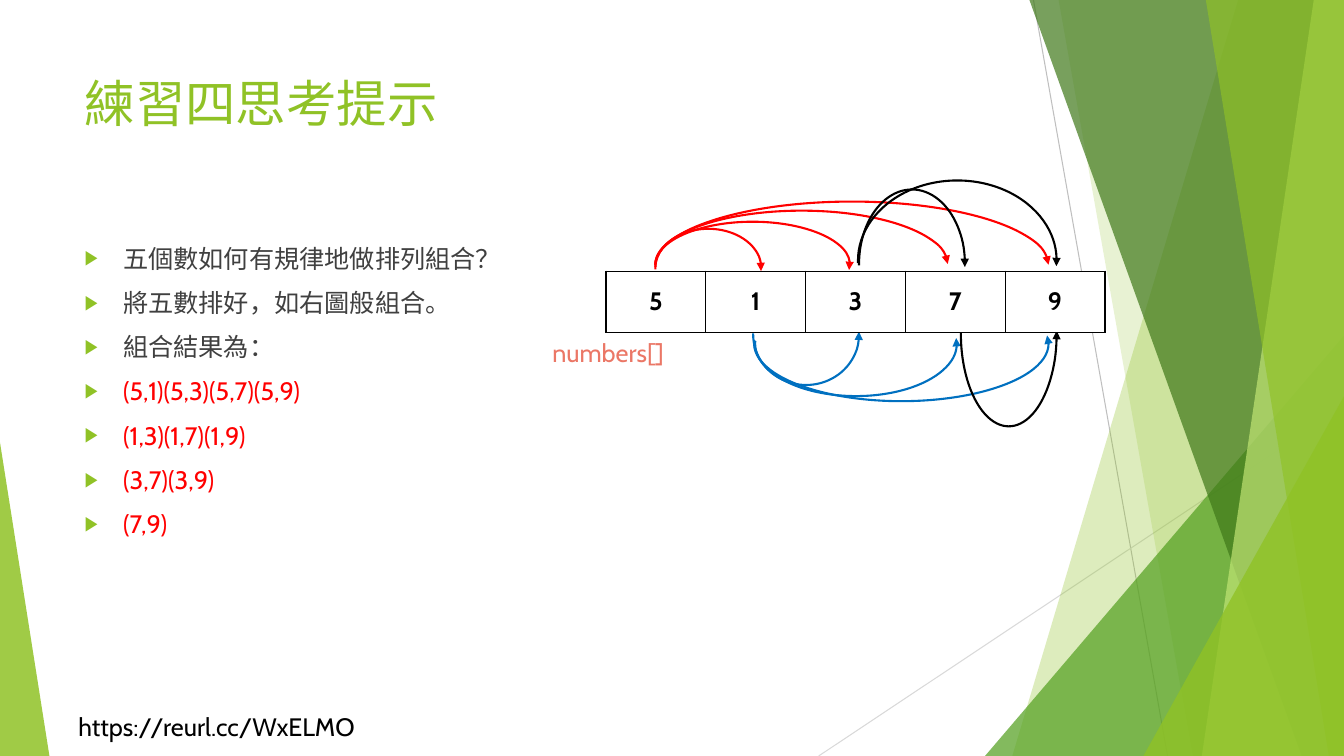
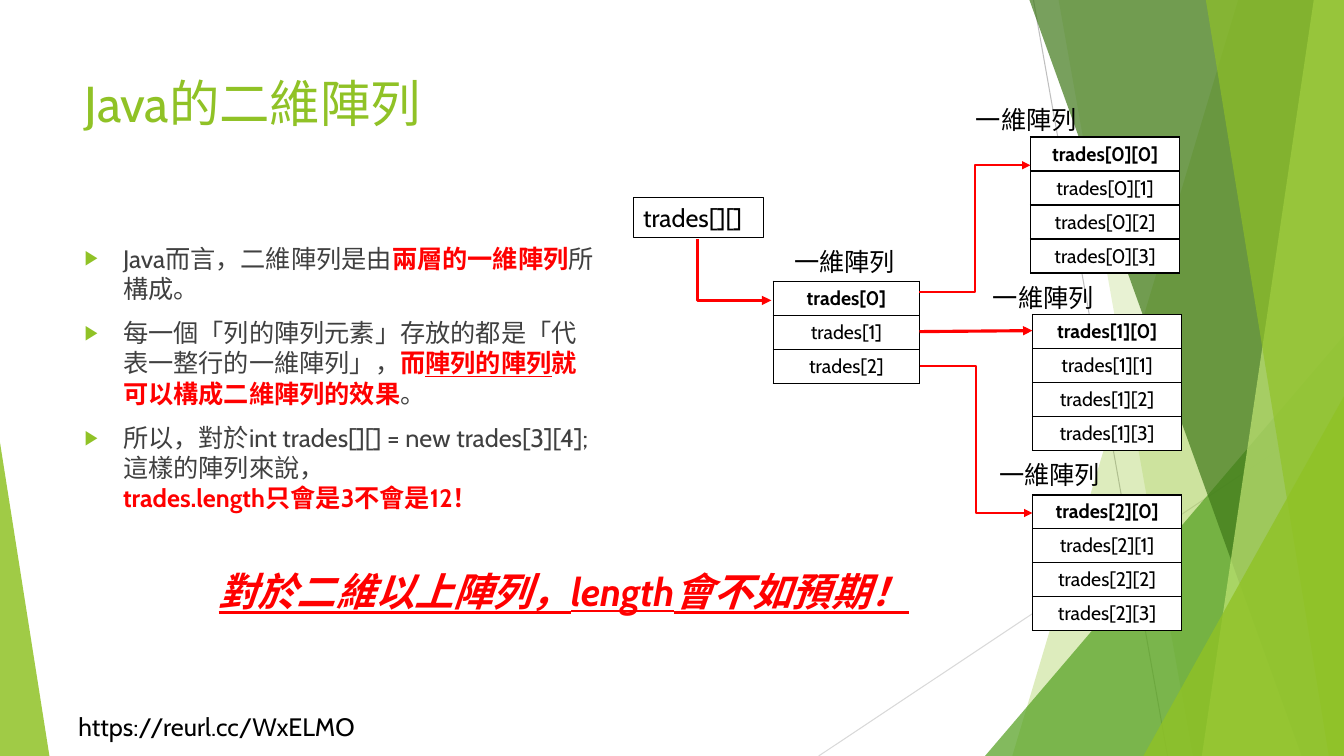
from lxml.etree import SubElement
from pptx import Presentation
from pptx.dml.color import RGBColor
from pptx.enum.shapes import MSO_CONNECTOR as CONNECTOR, MSO_SHAPE as SHAPE
from pptx.enum.text import MSO_ANCHOR as ANCHOR, MSO_AUTO_SIZE as AUTO_SIZE, PP_ALIGN as ALIGN
from pptx.oxml import parse_xml
from pptx.oxml.ns import nsdecls, qn
from pptx.util import Inches, Pt

FONT = "Cabin"
GREEN, RED, BLUE, BLACK = "90C226", "FF0000", "0070C0", "000000"
WHITE, GREY, CORAL = "FFFFFF", "404040", "EB7766"
WIDTH, HEIGHT = 13.33, 7.5
URL = "https://reurl.cc/WxELMO"
rgb = RGBColor.from_string


def add_run(paragraph, text, size, color, bold=False, italic=False, underline=False):
    for number, line in enumerate(text.split("\n")):
        if number:
            paragraph.add_line_break()
        if line:
            run = paragraph.add_run()
            run.text = line
            font = run.font
            font.name, font.size, font.bold = FONT, Pt(size), bold
            font.italic, font.underline = italic, underline
            font.color.rgb = rgb(color)


def style_line(shape, color, width, arrow=False):
    shape.line.color.rgb = rgb(color)
    shape.line.width = Pt(width)
    properties = shape.element.spPr
    if arrow:
        SubElement(properties.find(qn("a:ln")), qn("a:tailEnd"), type="triangle")
    SubElement(properties, qn("a:effectLst"))


deck = Presentation()
deck.slide_width, deck.slide_height = Inches(WIDTH), Inches(HEIGHT)
layout = deck.slide_layouts[1]

heading, content = layout.placeholders[0], layout.placeholders[1]
bullet = (f'<a:buClr><a:srgbClr val="{GREEN}"/></a:buClr>'
          '<a:buSzPct val="80000"/><a:buChar char="▶"/>')
for holder, top, height, size, color, indent, space, marker in [
    (heading, 0.67, 1.44, 36, GREEN, 0, 0, "<a:buNone/>"),
    (content, 2.36, 4.24, 18, GREY, Inches(0.38), 10, bullet),
]:
    holder.left, holder.top = Inches(0.74), Inches(top)
    holder.width, holder.height = Inches(9.4), Inches(height)
    holder.text_frame.vertical_anchor = ANCHOR.TOP
    holder.text_frame.auto_size = AUTO_SIZE.NONE
    holder.text_frame._txBody.find(qn("a:lstStyle")).append(parse_xml(
        f'<a:lvl1pPr {nsdecls("a")} marL="{indent}" indent="{-indent}" algn="l">'
        f'<a:spcBef><a:spcPts val="{space * 100}"/></a:spcBef>{marker}'
        f'<a:defRPr sz="{size * 100}"><a:solidFill><a:srgbClr val="{color}"/></a:solidFill>'
        f'<a:latin typeface="{FONT}"/></a:defRPr></a:lvl1pPr>'))

hint_slide = deck.slides.add_slide(layout)
array_slide = deck.slides.add_slide(layout)

decorations = []
for x1, y1, x2, y2, color in [
    (10.25, 0, 11.58, HEIGHT, "BFBFBF"),
    (WIDTH, 4.03, 8.12, HEIGHT, "D9D9D9"),
]:
    ray = hint_slide.shapes.add_connector(
        CONNECTOR.STRAIGHT, Inches(x1), Inches(y1), Inches(x2), Inches(y2))
    style_line(ray, color, 0.75)
    decorations.append(ray)

for kind, outline, color, opacity in [
    ("band", (12.28, 10.04), GREEN, 30),
    ("band", (10.5, 11.83), GREEN, 20),
    ("corner", (9.77, 3.33, 3.56, 1), "54A021", 72),
    ("band", (10.21, 12.91), "3F7819", 70),
    ("band", (13.03, 11.92), "C0E474", 70),
    ("band", (11.96, 13.18), GREEN, 65),
    ("corner", (11.34, 3.93, 1.99, 1), GREEN, 80),
    ("corner", (0, 4.39, 0.49, 0), GREEN, 85),
]:
    if kind == "band":
        upper, lower = outline
        builder = hint_slide.shapes.build_freeform(Inches(upper), 0)
        builder.add_line_segments([(Inches(x), Inches(y)) for x, y in
                                   [(WIDTH, 0), (WIDTH, HEIGHT), (lower, HEIGHT)]])
        facet = builder.convert_to_shape()
    else:
        left, top, width, apex = outline
        facet = hint_slide.shapes.add_shape(
            SHAPE.ISOSCELES_TRIANGLE, Inches(left), Inches(top),
            Inches(width), Inches(HEIGHT - top))
        facet.adjustments[0] = apex
    facet.fill.solid()
    facet.fill.fore_color.rgb = rgb(color)
    facet.line.fill.background()
    facet.shadow.inherit = False
    tint = facet.element.spPr.find(qn("a:solidFill"))[0]
    SubElement(tint, qn("a:alpha"), val=str(opacity * 1000))
    decorations.append(facet)

address = hint_slide.shapes.add_textbox(Inches(0.68), Inches(7.01), Inches(3.12), Inches(0.4))
address.text_frame.word_wrap = False
add_run(address.text_frame.paragraphs[0], URL, 18, BLACK)
decorations.append(address)

for number, decoration in enumerate(decorations):
    element = decoration.element
    element.xpath(".//p:cNvPr")[0].set("id", str(100 + number))
    layout.shapes.element.insert(2 + number, element)

plain = {"color": GREY}
pairs = {"color": RED}
strong = {"color": RED, "bold": True}
hints = [[(text, plain)] for text in
         ["五個數如何有規律地做排列組合？", "將五數排好，如右圖般組合。", "組合結果為："]]
hints += [[(text, pairs)] for text in
          ["(5,1)(5,3)(5,7)(5,9)", "(1,3)(1,7)(1,9)", "(3,7)(3,9)", "(7,9)"]]
explanations = [
    [("Java而言，二維陣列是由", plain), ("兩層的一維陣列", strong), ("所構成。", plain)],
    [("每一個「列的陣列元素」存放的都是「代表一整行的一維陣列」，", plain),
     ("而", strong), ("陣列的陣列", {**strong, "underline": True}),
     ("就可以構成二維陣列的效果", strong), ("。", plain)],
    [("所以，對於int trades[][] = new trades[3][4];\n這樣的陣列來說，\n", plain),
     ("trades.length只會是3不會是12！", strong)],
]
for slide, title, points, width in [
    (hint_slide, "練習四思考提示", hints, 9.4),
    (array_slide, "Java的二維陣列", explanations, 5.26),
]:
    add_run(slide.shapes.title.text_frame.paragraphs[0], title, 36, GREEN)
    body = slide.placeholders[1]
    body.left, body.top = Inches(0.74), Inches(2.36)
    body.width, body.height = Inches(width), Inches(4.24)
    for number, point in enumerate(points):
        if number:
            paragraph = body.text_frame.add_paragraph()
        else:
            paragraph = body.text_frame.paragraphs[0]
            paragraph.space_before = Pt(0)
        for text, style in point:
            add_run(paragraph, text, 18, **style)

half, wide = (107.14, 1.93), (108.09, 215.85)
for color, below, span, left, top, width, height in [
    (RED, False, half, 6.5, 2.27, 1.05, 0.78),
    (RED, False, half, 6.5, 2.2, 1.93, 0.85),
    (RED, False, wide, 6.5, 2.09, 2.9, 1.07),
    (RED, False, wide, 6.5, 2, 3.9, 1.27),
    (BLUE, True, half, 7.47, 2.82, 1.05, 1),
    (BLUE, True, half, 7.49, 2.89, 2, 1.04),
    (BLUE, True, half, 7.48, 2.84, 2.92, 1.14),
    (BLACK, False, half, 8.52, 1.88, 1.05, 1.48),
    (BLACK, False, half, 8.51, 1.79, 1.97, 1.59),
    (BLACK, True, half, 9.53, 2.39, 0.95, 1.84),
]:
    pairing = hint_slide.shapes.add_shape(
        SHAPE.ARC, Inches(left), Inches(top), Inches(width), Inches(height))
    pairing.adjustments[0], pairing.adjustments[1] = span
    pairing.fill.background()
    style_line(pairing, color, 1.5, arrow=True)
    if below:
        pairing.element.spPr.xfrm.set("flipV", "1")

arrays = [
    (hint_slide, 6.01, 2.69, 0.99, 0.61, 18, [["5", "1", "3", "7", "9"]]),
    (array_slide, 7.67, 2.79, 1.45, 0.33, 14, [[f"trades[{i}]"] for i in range(3)]),
]
for i, (left, top) in enumerate([(10.22, 1.36), (10.24, 3.12), (10.24, 4.91)]):
    arrays.append((array_slide, left, top, 1.48, 0.33, 14,
                   [[f"trades[{i}][{j}]"] for j in range(4)]))
for slide, left, top, column_width, row_height, size, values in arrays:
    table = slide.shapes.add_table(
        len(values), len(values[0]), Inches(left), Inches(top),
        Inches(column_width * len(values[0])), Inches(row_height * len(values))).table
    table.first_row = table.horz_banding = False
    for column in table.columns:
        column.width = Inches(column_width)
    for r, row in enumerate(values):
        table.rows[r].height = Inches(row_height)
        for c, value in enumerate(row):
            cell = table.cell(r, c)
            cell.vertical_anchor = ANCHOR.MIDDLE
            for side in ("lnL", "lnR", "lnT", "lnB"):
                border = SubElement(cell._tc.get_or_add_tcPr(), qn(f"a:{side}"), w=str(Pt(1)))
                SubElement(SubElement(border, qn("a:solidFill")), qn("a:srgbClr"), val=BLACK)
            cell.fill.solid()
            cell.fill.fore_color.rgb = rgb(WHITE)
            paragraph = cell.text_frame.paragraphs[0]
            paragraph.alignment = ALIGN.CENTER
            add_run(paragraph, value, size, BLACK, bold=r == 0)

for kind, x1, y1, x2, y2, width, bend in [
    (CONNECTOR.ELBOW, 9.12, 2.9, 10.22, 1.64, 1.5, 50000),
    (CONNECTOR.ELBOW, 9.12, 3.63, 10.24, 5.09, 1.5, 50000),
    (CONNECTOR.STRAIGHT, 9.12, 3.29, 10.24, 3.28, 2.25, None),
    (CONNECTOR.ELBOW, 6.92, 2.37, 7.65, 2.98, 2.25, 0),
]:
    reference = array_slide.shapes.add_connector(
        kind, Inches(x1), Inches(y1), Inches(x2), Inches(y2))
    style_line(reference, RED, width, arrow=True)
    if bend is not None:
        guides = reference.element.spPr.find(qn("a:prstGeom")).find(qn("a:avLst"))
        SubElement(guides, qn("a:gd"), name="adj1", fmla=f"val {bend}")

label = {"size": 18, "color": BLACK}
warning = {"size": 28, "color": RED, "bold": True, "italic": True, "underline": True}
for slide, text, left, top, width, height, style, framed in [
    (hint_slide, "numbers[]", 5.38, 3.3, 1.35, 0.4, {"size": 18, "color": CORAL}, False),
    (array_slide, "trades[][]", 6.28, 1.96, 1.29, 0.4, label, True),
    (array_slide, "一維陣列", 7.78, 2.39, 1.21, 0.4, label, False),
    (array_slide, "一維陣列", 9.58, 0.99, 1.21, 0.4, label, False),
    (array_slide, "一維陣列", 9.75, 2.75, 1.21, 0.4, label, False),
    (array_slide, "一維陣列", 9.81, 4.51, 1.21, 0.4, label, False),
    (array_slide, "對於二維以上陣列，length會不如預期！", 2.07, 5.58, 7.25, 0.57, warning, False),
]:
    caption = slide.shapes.add_textbox(Inches(left), Inches(top), Inches(width), Inches(height))
    caption.text_frame.word_wrap = False
    caption.text_frame.auto_size = AUTO_SIZE.SHAPE_TO_FIT_TEXT
    add_run(caption.text_frame.paragraphs[0], text, **style)
    if framed:
        style_line(caption, BLACK, 0.75)

deck.save("out.pptx")
